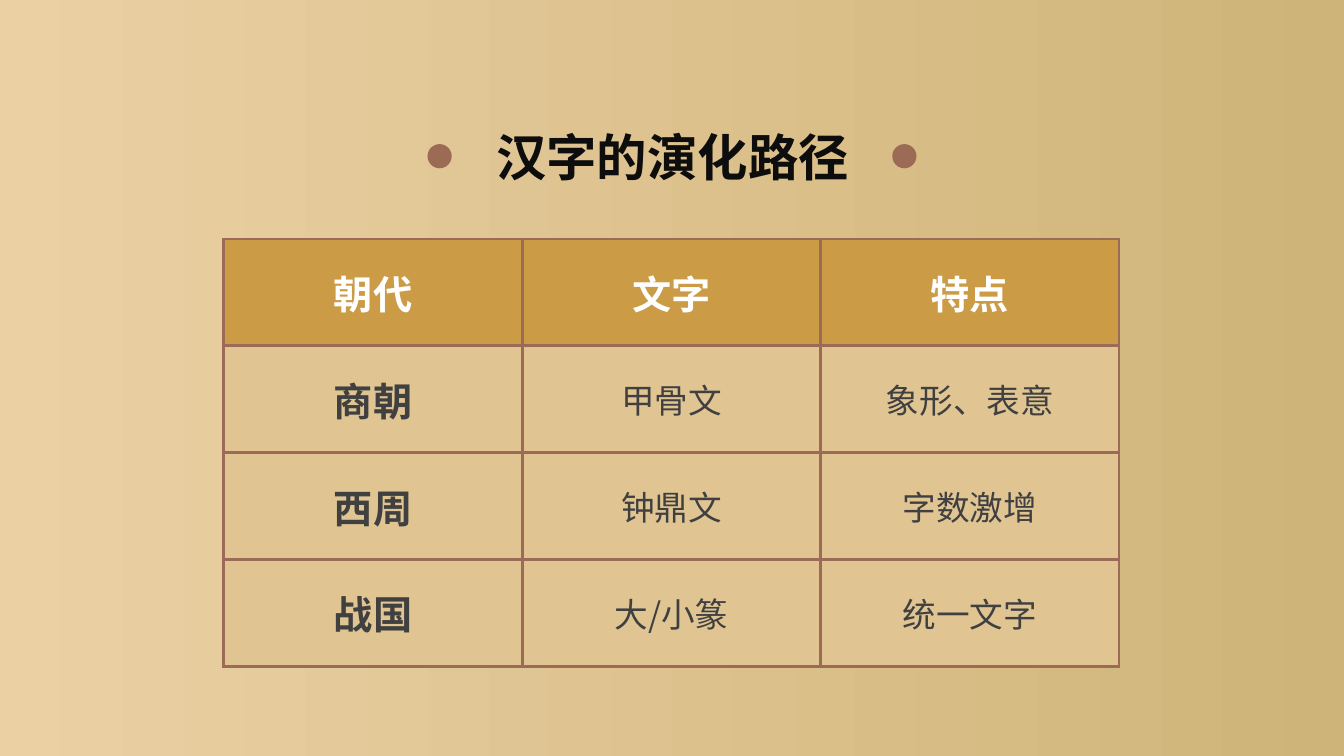
from dataclasses import dataclass

from lxml import etree
from pptx import Presentation
from pptx import util as u
from pptx.dml.color import RGBColor
from pptx.enum import shapes, text
from pptx.oxml import ns

FONT = "Noto Sans CJK SC"
COLORS = {
    "background_start": "EBD0A4",
    "background_end": "CFB479",
    "title": "0D0D0D",
    "accent": "9B6B56",
    "header_fill": "CB9B46",
    "header_text": "FFFFFF",
    "body_fill": "E0C593",
    "body_text": "404040",
}
ROWS = [
    ("朝代", "文字", "特点"),
    ("商朝", "甲骨文", "象形、表意"),
    ("西周", "钟鼎文", "字数激增"),
    ("战国", "大/小篆", "统一文字"),
]
COLUMN_WIDTH, ROW_HEIGHT = 2.96, 1.06
BORDER_WIDTH = 2.25


@dataclass(frozen=True)
class TextStyle:
    size: int
    color: str
    bold: bool


@dataclass(frozen=True)
class Dot:
    left: float
    top: float = 1.43
    diameter: float = 0.24


TITLE = TextStyle(36, "title", True)
HEADER = TextStyle(28, "header_text", True)
DYNASTY = TextStyle(28, "body_text", True)
DETAIL = TextStyle(24, "body_text", False)
DOTS = [Dot(4.24), Dot(8.85)]


def rgb(name: str) -> RGBColor:
    return RGBColor.from_string(COLORS[name])


def write_centered(frame, words: str, style: TextStyle) -> None:
    paragraph = frame.paragraphs[0]
    paragraph.alignment = text.PP_ALIGN.CENTER
    run = paragraph.add_run()
    run.text = words
    run.font.name = FONT
    run.font.size = u.Pt(style.size)
    run.font.bold = style.bold
    run.font.color.rgb = rgb(style.color)
    east_asian = etree.SubElement(run.font._element, ns.qn("a:ea"))
    east_asian.set("typeface", FONT)


def paint_background(slide) -> None:
    fill = slide.background.fill
    fill.gradient()
    fill.gradient_angle = 0
    for stop, name in zip(fill.gradient_stops, ("background_start", "background_end")):
        stop.color.rgb = rgb(name)


def add_title(slide) -> None:
    box = slide.shapes.add_textbox(u.Inches(4.8), u.Inches(1.2), u.Inches(3.74), u.Inches(0.71))
    box.text_frame.word_wrap = False
    box.text_frame.auto_size = text.MSO_AUTO_SIZE.SHAPE_TO_FIT_TEXT
    write_centered(box.text_frame, "汉字的演化路径", TITLE)


def add_dot(slide, dot: Dot) -> None:
    diameter = u.Inches(dot.diameter)
    shape = slide.shapes.add_shape(
        shapes.MSO_SHAPE.OVAL, u.Inches(dot.left), u.Inches(dot.top), diameter, diameter
    )
    shape.shadow.inherit = False
    shape.fill.solid()
    shape.fill.fore_color.rgb = rgb("accent")
    shape.line.fill.background()


def set_borders(cell) -> None:
    """Outline all four sides; border elements must precede the cell's fill."""
    properties = cell._tc.get_or_add_tcPr()
    for index, side in enumerate("LRTB"):
        line = etree.Element(ns.qn(f"a:ln{side}"), w=str(u.Pt(BORDER_WIDTH)))
        fill = etree.SubElement(line, ns.qn("a:solidFill"))
        etree.SubElement(fill, ns.qn("a:srgbClr"), val=COLORS["accent"])
        properties.insert(index, line)


def cell_style(row: int, column: int) -> TextStyle:
    if row == 0:
        return HEADER
    return DYNASTY if column == 0 else DETAIL


def add_script_table(slide) -> None:
    row_count, column_count = len(ROWS), len(ROWS[0])
    table = slide.shapes.add_table(
        row_count, column_count, u.Inches(2.22), u.Inches(2.37),
        u.Inches(COLUMN_WIDTH * column_count), u.Inches(ROW_HEIGHT * row_count),
    ).table
    table.horz_banding = False
    for row, entries in enumerate(ROWS):
        for column, words in enumerate(entries):
            cell = table.cell(row, column)
            cell.vertical_anchor = text.MSO_ANCHOR.MIDDLE
            cell.fill.solid()
            cell.fill.fore_color.rgb = rgb("header_fill" if row == 0 else "body_fill")
            set_borders(cell)
            write_centered(cell.text_frame, words, cell_style(row, column))


def main() -> None:
    presentation = Presentation()
    presentation.slide_width = u.Inches(13.33)
    presentation.slide_height = u.Inches(7.5)
    slide = presentation.slides.add_slide(presentation.slide_layouts[6])
    paint_background(slide)
    add_title(slide)
    for dot in DOTS:
        add_dot(slide, dot)
    add_script_table(slide)
    presentation.save("out.pptx")


if __name__ == "__main__":
    main()
